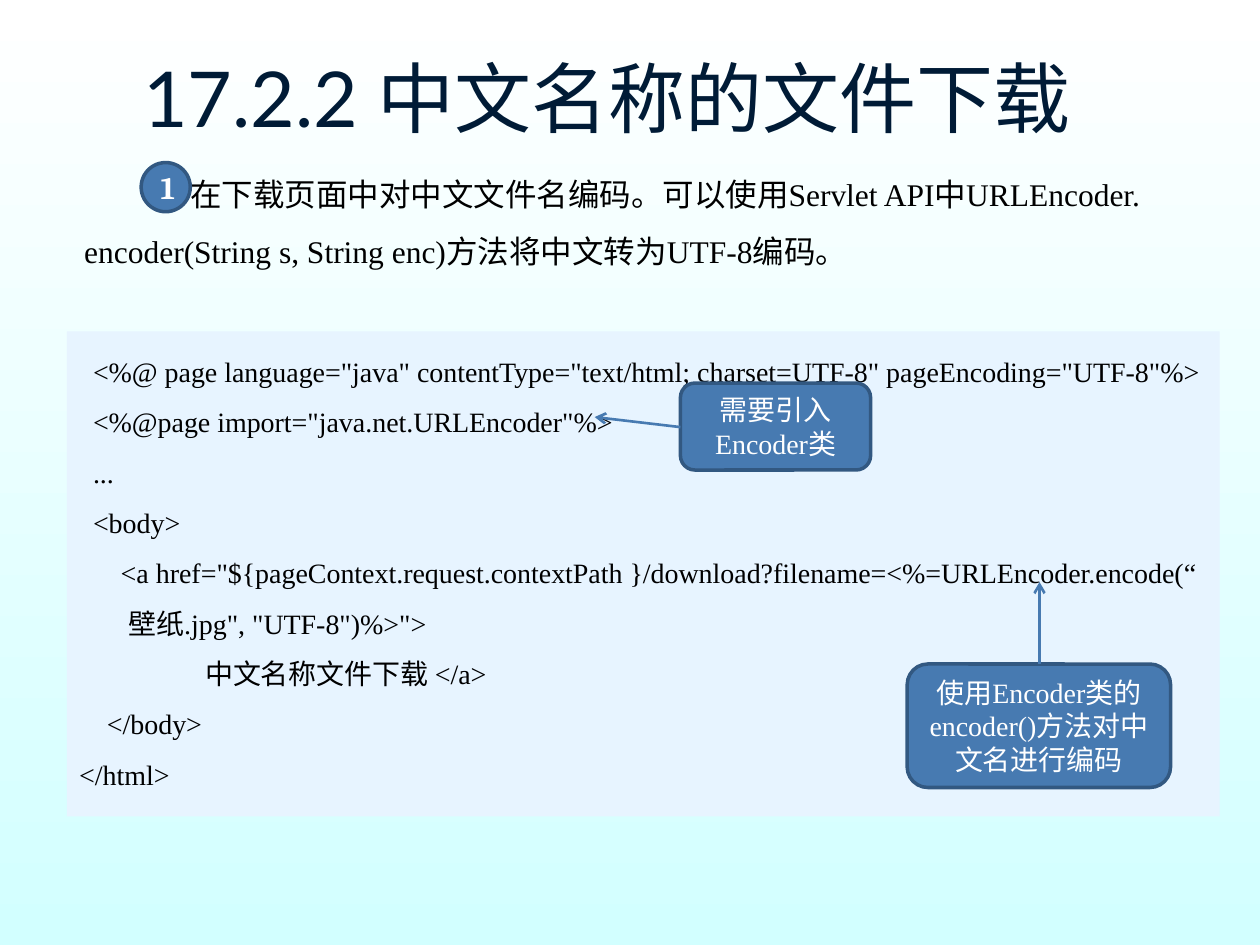
from lxml.etree import SubElement
from pptx import Presentation
from pptx.dml.color import RGBColor
from pptx.enum.shapes import MSO_CONNECTOR, MSO_SHAPE
from pptx.enum.text import MSO_ANCHOR, PP_ALIGN
from pptx.oxml.ns import qn
from pptx.util import Inches, Pt

COLOURS = {
    "sky_top": "FFFFFF",
    "sky_bottom": "D2FFFF",
    "title": "001B36",
    "text": "000000",
    "light_text": "FFFFFF",
    "panel": "E7F4FF",
    "accent": "477AB1",
    "outline": "325881",
}
TITLE = {"name": "Lato", "size": Pt(44)}
BODY = {"name": "Times New Roman", "size": Pt(18)}
CODE = {"name": "Times New Roman", "size": Pt(16)}
BADGE = {"name": "Cambria", "size": Pt(18), "bold": True}

INTRODUCTION = [
    (0.84, "在下载页面中对中文文件名编码。可以使用Servlet API中URLEncoder."),
    (0, "encoder(String s, String enc)方法将中文转为UTF-8编码。"),
]
LISTING = [
    (0.11, '<%@ page language="java" contentType="text/html; charset=UTF-8" pageEncoding="UTF-8"%>'),
    (0.11, '<%@page import="java.net.URLEncoder"%>'),
    (0.11, "..."),
    (0.11, "<body>"),
    (0.33, '<a href="${pageContext.request.contextPath }/download?filename=<%=URLEncoder.encode(“'),
    (0.39, '壁纸.jpg", "UTF-8")%>">'),
    (1, "中文名称文件下载 </a>"),
    (0.22, "</body>"),
    (0, "</html>"),
]


def colour(name):
    """Return the named palette colour."""
    return RGBColor.from_string(COLOURS[name])


def write_lines(shape, lines, font, text_colour, anchor=MSO_ANCHOR.TOP, **layout):
    """Fill a shape with (indent, text) paragraphs of one format."""
    frame = shape.text_frame
    frame.word_wrap = True
    frame.vertical_anchor = anchor
    for index, (indent, text) in enumerate(lines):
        paragraph = frame.paragraphs[0] if index == 0 else frame.add_paragraph()
        for attribute, value in layout.items():
            setattr(paragraph, attribute, value)
        if indent:
            paragraph._p.get_or_add_pPr().set("marL", str(Inches(indent)))
        run = paragraph.add_run()
        run.text = text
        for attribute, value in font.items():
            setattr(run.font, attribute, value)
        run.font.color.rgb = colour(text_colour)


def add_panel(slide, kind, box, fill, outline=None):
    """Add a flat filled shape with an optional outline."""
    shape = slide.shapes.add_shape(kind, *map(Inches, box))
    shape.shadow.inherit = False
    shape.fill.solid()
    shape.fill.fore_color.rgb = colour(fill)
    if outline:
        shape.line.color.rgb = colour(outline)
        shape.line.width = Pt(2)
    else:
        shape.line.fill.background()
    return shape


def add_label(slide, kind, box, text, font):
    """Add an accent shape with centred light text."""
    shape = add_panel(slide, kind, box, "accent", "outline")
    write_lines(shape, [(0, text)], font, "light_text", MSO_ANCHOR.MIDDLE, alignment=PP_ALIGN.CENTER)


def add_arrow(slide, start, end):
    """Draw a flat accent arrow from start to end."""
    connector = slide.shapes.add_connector(MSO_CONNECTOR.STRAIGHT, *map(Inches, start + end))
    connector.line.color.rgb = colour("accent")
    connector.line.width = Pt(1.5)
    SubElement(connector.line._get_or_add_ln(), qn("a:tailEnd"), type="arrow")
    SubElement(connector._element.spPr, qn("a:effectLst"))


def add_callout(slide, box, text, start, target):
    """Add a callout whose arrow runs from an offset in its box to a target."""
    left, top = box[:2]
    add_label(slide, MSO_SHAPE.ROUNDED_RECTANGLE, box, text, CODE)
    add_arrow(slide, (left + start[0], top + start[1]), target)


def paint_background(slide):
    """Give the slide a vertical gradient."""
    fill = slide.background.fill
    fill.gradient()
    fill.gradient_angle = 270
    for stop, name in zip(fill.gradient_stops, ("sky_top", "sky_bottom")):
        stop.color.rgb = colour(name)


def add_title(slide, box):
    """Place the centred section title."""
    shape = slide.shapes.add_textbox(*map(Inches, box))
    write_lines(shape, [(0, "17.2.2 中文名称的文件下载")], TITLE, "title",
                MSO_ANCHOR.MIDDLE, alignment=PP_ALIGN.CENTER)


def add_introduction(slide, box):
    """Place the numbered introduction with its round badge."""
    left, top = box[:2]
    shape = slide.shapes.add_textbox(*map(Inches, box))
    write_lines(shape, INTRODUCTION, BODY, "text", line_spacing=1.5)
    add_label(slide, MSO_SHAPE.FLOWCHART_CONNECTOR, (left + 0.55, top + 0.1, 0.39, 0.39), "1", BADGE)


def add_listing(slide, box):
    """Place the code panel and its two callouts."""
    left, top = box[:2]
    panel = add_panel(slide, MSO_SHAPE.RECTANGLE, box, "panel")
    write_lines(panel, LISTING, CODE, "text", alignment=PP_ALIGN.LEFT, line_spacing=1.5)
    add_callout(slide, (left + 4.87, top + 0.41, 1.51, 0.69), "需要引入Encoder类",
                (0, 0.35), (left + 4.19, top + 0.68))
    add_callout(slide, (left + 6.67, top + 2.64, 2.09, 0.98), "使用Encoder类的encoder()方法对中文名进行编码",
                (1.05, 0), (left + 7.72, top + 1.99))


def main():
    """Build and save the slide."""
    presentation = Presentation()
    presentation.slide_width, presentation.slide_height = Inches(10), Inches(7.5)
    slide = presentation.slides.add_slide(presentation.slide_layouts[6])
    paint_background(slide)
    add_title(slide, (0.35, 0.34, 8.94, 0.85))
    add_listing(slide, (0.53, 2.63, 9.15, 3.85))
    add_introduction(slide, (0.57, 1.19, 8.85, 1.45))
    presentation.save("out.pptx")


if __name__ == "__main__":
    main()
